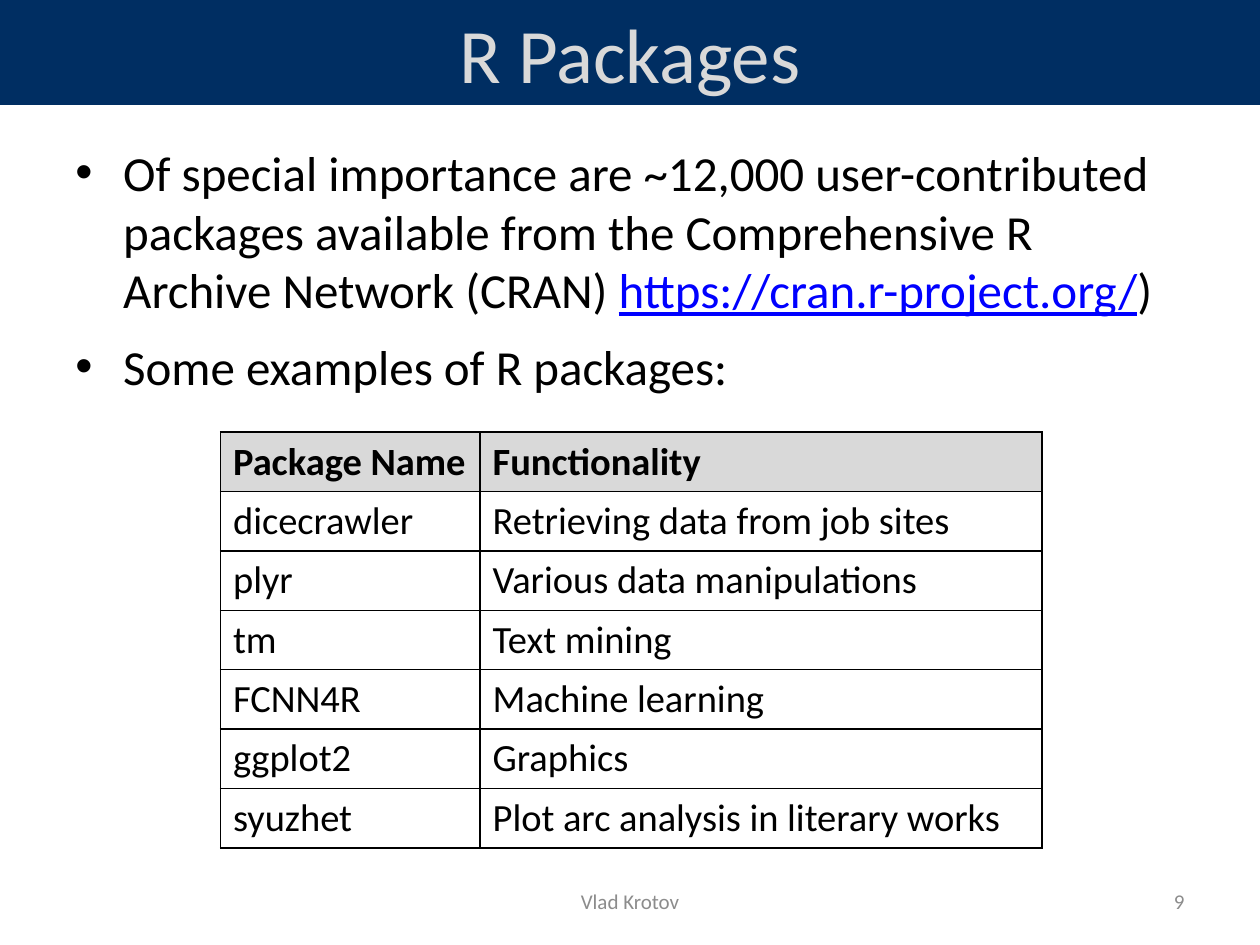
import dataclasses

import lxml.etree
import pptx
import pptx.dml.color
import pptx.enum.shapes
import pptx.enum.text
import pptx.oxml.ns
import pptx.util

ALIGN = pptx.enum.text.PP_ALIGN
ANCHOR = pptx.enum.text.MSO_ANCHOR
WIDTH, HEIGHT = 10, 7.5


@dataclasses.dataclass(frozen=True)
class Theme:
    """Colours, font and type sizes of the deck."""
    font: str = "Calibri"
    navy: str = "002E62"
    silver: str = "D9D9D9"
    black: str = "000000"
    link: str = "0000FF"
    grey: str = "8C8C8C"
    title: int = 44
    body: int = 28
    cell: int = 22
    footer: int = 12


THEME = Theme()
BULLETS = [
    [("Of special importance are ~12,000 user-contributed packages available "
      "from the Comprehensive R Archive Network (CRAN) ", False),
     ("https://cran.r-project.org/", True), (")", False)],
    [("Some examples of R packages:", False)],
]
PACKAGES = [
    ("Package Name", "Functionality"),
    ("dicecrawler", "Retrieving data from job sites"),
    ("plyr", "Various data manipulations"),
    ("tm", "Text mining"),
    ("FCNN4R", "Machine learning"),
    ("ggplot2", "Graphics"),
    ("syuzhet", "Plot arc analysis in literary works"),
]


def inches(box):
    """Turn a box in inches into slide lengths."""
    return [pptx.util.Inches(length) for length in box]


def rgb(colour):
    """Turn a hex string into a colour."""
    return pptx.dml.color.RGBColor.from_string(colour)


def style(span, size, colour, bold=False, underline=False):
    """Format one run."""
    span.font.name = THEME.font
    span.font.size = pptx.util.Pt(size)
    span.font.color.rgb = rgb(colour)
    span.font.bold = bold
    span.font.underline = underline


def write_line(frame, text, size, colour, align):
    """Put one vertically centred line into a text frame."""
    frame.text = text
    frame.word_wrap = True
    frame.vertical_anchor = ANCHOR.MIDDLE
    frame.paragraphs[0].alignment = align
    style(frame.paragraphs[0].runs[0], size, colour)


def add_title(page, box, text):
    """Draw the title band."""
    band = page.shapes.add_shape(pptx.enum.shapes.MSO_SHAPE.RECTANGLE, *inches(box))
    band.shadow.inherit = False
    band.fill.solid()
    band.fill.fore_color.rgb = rgb(THEME.navy)
    band.line.fill.background()
    write_line(band.text_frame, text, THEME.title, THEME.silver, ALIGN.CENTER)


def add_bullets(page, box, bullets):
    """Write the bulleted text with hanging indents."""
    frame = page.shapes.add_textbox(*inches(box)).text_frame
    frame.word_wrap = True
    for index, parts in enumerate(bullets):
        para = frame.add_paragraph() if index else frame.paragraphs[0]
        para.space_before = pptx.util.Pt(10 if index else 0)
        indent = pptx.util.Inches(0.38)
        properties = para._p.get_or_add_pPr()
        properties.set("marL", str(indent))
        properties.set("indent", str(-indent))
        for tag, key, value in (("a:buFont", "typeface", "Arial"), ("a:buChar", "char", "•")):
            lxml.etree.SubElement(properties, pptx.oxml.ns.qn(tag)).set(key, value)
        for text, linked in parts:
            span = para.add_run()
            span.text = text
            style(span, THEME.body, THEME.link if linked else THEME.black, underline=linked)


def add_borders(cell):
    """Rule all four sides of a table cell."""
    properties = cell._tc.get_or_add_tcPr()
    for position, side in enumerate(("lnL", "lnR", "lnT", "lnB")):
        line = lxml.etree.Element(pptx.oxml.ns.qn("a:" + side), w=str(pptx.util.Pt(1)))
        fill = lxml.etree.SubElement(line, pptx.oxml.ns.qn("a:solidFill"))
        lxml.etree.SubElement(fill, pptx.oxml.ns.qn("a:srgbClr")).set("val", THEME.black)
        properties.insert(position, line)


def add_packages(page, box, rows, shares):
    """Build the table, with columns as shares of its width."""
    table = page.shapes.add_table(len(rows), len(shares), *inches(box)).table
    table.horz_banding = False
    for column, share in zip(table.columns, shares):
        column.width = pptx.util.Inches(box[2] * share)
    for row_index, row in enumerate(rows):
        header = row_index == 0
        for column_index, text in enumerate(row):
            cell = table.cell(row_index, column_index)
            cell.text = text
            style(cell.text_frame.paragraphs[0].runs[0], THEME.cell, THEME.black, bold=header)
            if header:
                cell.fill.solid()
                cell.fill.fore_color.rgb = rgb(THEME.silver)
            else:
                cell.fill.background()
            add_borders(cell)


def add_footer(page, box, author, number):
    """Centre the author and set the page number at the right of the box."""
    left, top, width, height = box
    for text, share, start, align in ((author, 0.35, 0.325, ALIGN.CENTER),
                                      (number, 0.26, 0.74, ALIGN.RIGHT)):
        part = (left + width * start, top, width * share, height)
        frame = page.shapes.add_textbox(*inches(part)).text_frame
        write_line(frame, text, THEME.footer, THEME.grey, align)


def build():
    """Build and save the deck."""
    deck = pptx.Presentation()
    deck.slide_width, deck.slide_height = inches((WIDTH, HEIGHT))
    page = deck.slides.add_slide(deck.slide_layouts[6])
    margin = WIDTH * 0.05
    content = WIDTH - 2 * margin
    add_title(page, (0, 0, WIDTH, HEIGHT / 9), "R Packages")
    add_bullets(page, (margin, 1.08, content, HEIGHT * 0.3), BULLETS)
    add_packages(page, (1.75, 3.43, 6.52, 3.3), PACKAGES, (0.316, 0.684))
    add_footer(page, (margin, 6.95, content, 0.4), "Vlad Krotov", "9")
    deck.save("out.pptx")


build()
